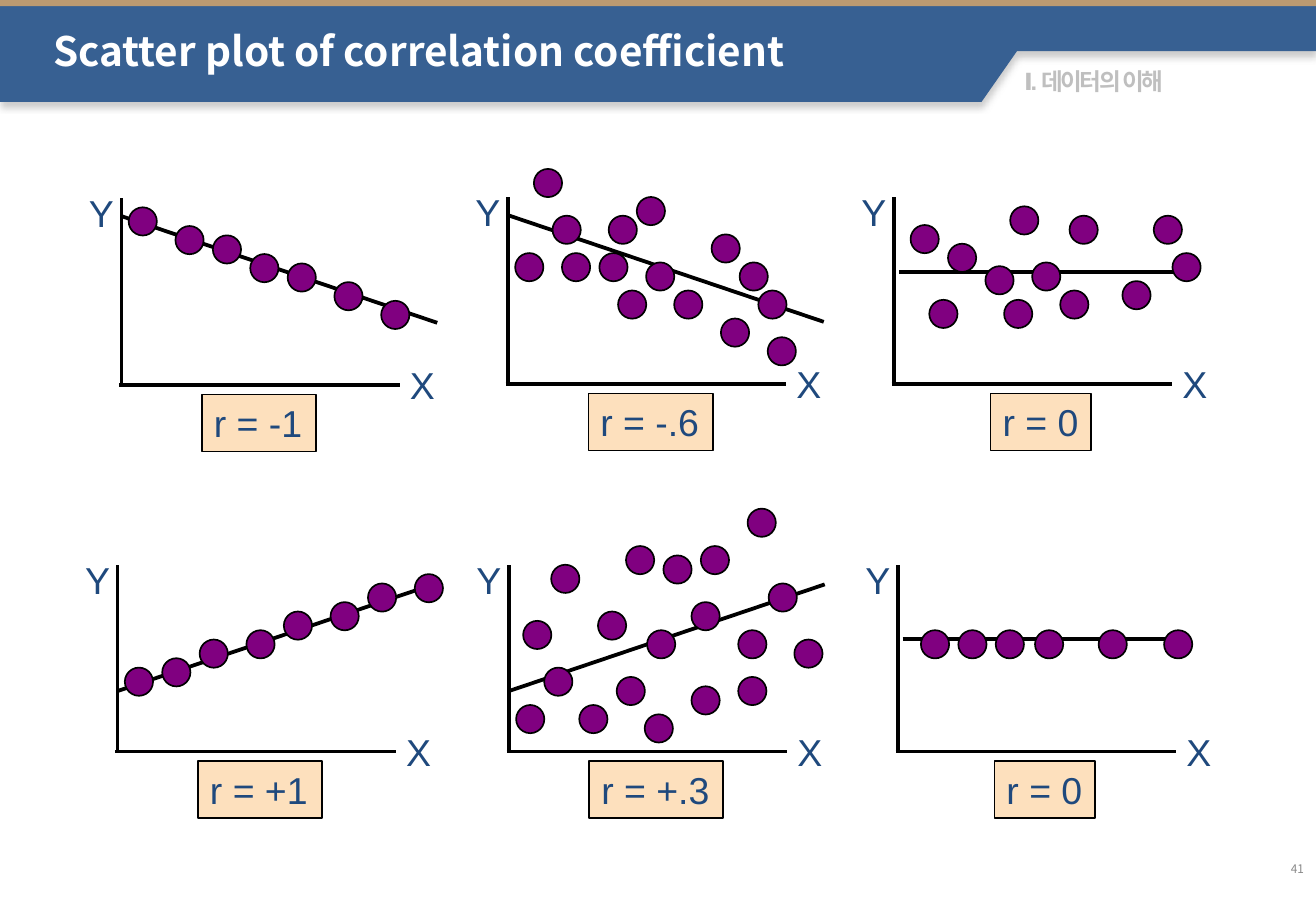
import lxml.etree
import pptx
import pptx.dml.color
import pptx.enum.shapes
import pptx.enum.text
import pptx.oxml.ns
import pptx.util

Cm = pptx.util.Cm
Pt = pptx.util.Pt
RGBColor = pptx.dml.color.RGBColor
SHAPE = pptx.enum.shapes.MSO_SHAPE
ALIGN = pptx.enum.text.PP_ALIGN
ANCHOR = pptx.enum.text.MSO_ANCHOR
qn = pptx.oxml.ns.qn

BLUE = RGBColor(0x37, 0x60, 0x92)
TAN = RGBColor(0xBB, 0x9A, 0x71)
NAVY = RGBColor(0x1F, 0x49, 0x7D)
PEACH = RGBColor(0xFD, 0xE0, 0xBD)
PURPLE = RGBColor(0x80, 0x00, 0x80)
BLACK = RGBColor(0x00, 0x00, 0x00)
WHITE = RGBColor(0xFF, 0xFF, 0xFF)
LIGHT_GRAY = RGBColor(0xBF, 0xBF, 0xBF)
GRAY = RGBColor(0x89, 0x89, 0x89)

SANS = "Noto Sans CJK KR"
WIDTH, HEIGHT = 27.51, 19.05
DOT = 0.59
STEP = 3.91 / 20
DOT_INSET = 0.15

FALLING = (0, 3.53, 6.6, 1.3)
RISING = (0, 1.27, 6.6, 3.5)
FLAT = (0.1, 2.35, 5.94, 2.35)

# Each panel: axis corner, trend, label, label offset, label width, dot steps
PANELS = [
    (2.54, 8.05, FALLING, "r = -1", 1.68, 2.39,
     [(0, 19), (5, 17), (9, 16), (13, 14), (17, 13), (22, 11), (27, 9)]),
    (10.62, 8.03, FALLING, "r = -.6", 1.68, 2.6,
     [(0, 14), (2, 23), (4, 18), (5, 14), (9, 14), (10, 18), (11, 10),
      (13, 20), (14, 13), (17, 10), (21, 16), (22, 7), (24, 13), (26, 10),
      (27, 5)]),
    (18.69, 8.03, FLAT, "r = 0", 2.02, 2.1,
     [(1, 17), (3, 9), (5, 15), (9, 12.6), (11, 9), (11.65, 19), (14, 13),
      (17, 10), (18, 18), (23.65, 11), (27, 18), (29, 14)]),
    (2.46, 15.72, RISING, "r = +1", 1.68, 2.6,
     [(0, 9), (4, 10), (8, 12), (13, 13), (17, 15), (22, 16), (26, 18),
      (31, 19)]),
    (10.64, 15.72, RISING, "r = +.3", 1.68, 2.79,
     [(0, 5), (0.75, 14), (3, 9), (3.75, 20), (6.75, 5), (8.75, 15),
      (10.75, 8), (11.75, 22), (13.75, 4), (14, 13), (15.75, 21),
      (18.75, 7), (18.75, 16), (19.75, 22), (23.75, 8), (23.75, 13),
      (24.75, 26), (27, 18), (29.75, 12)]),
    (18.77, 15.72, FLAT, "r = 0", 2.02, 2.1,
     [(x, 13) for x in (1.7, 5.7, 9.7, 13.9, 20.7, 27.7)]),
]


def write(s, text, size=22.2, font="Arial", color=NAVY, bold=False,
          align=ALIGN.LEFT, anchor=ANCHOR.TOP, wrap=False, leading=None,
          spacing=None):
    tf = s.text_frame
    tf.word_wrap = wrap
    tf.vertical_anchor = anchor
    p = tf.paragraphs[0]
    p.alignment = align
    if leading:
        p.line_spacing = leading
    r = p.add_run()
    r.text = text
    r.font.size = Pt(size)
    r.font.name = font
    r.font.bold = bold
    r.font.color.rgb = color
    rpr = r.font._element
    if spacing is not None:
        rpr.set("spc", str(int(spacing * 100)))
    lxml.etree.SubElement(rpr, qn("a:ea")).set("typeface", font)


def add_text(shapes, x, y, w, h, text, **style):
    write(shapes.add_textbox(Cm(x), Cm(y), Cm(w), Cm(h)), text, **style)


def paint(s, fill, line=None):
    s.shadow.inherit = False
    s.fill.solid()
    s.fill.fore_color.rgb = fill
    if line is None:
        s.line.fill.background()
    else:
        s.line.color.rgb = line
        s.line.width = Pt(1)


def add_box(shapes, kind, x, y, w, h, fill, line=None):
    s = shapes.add_shape(kind, Cm(x), Cm(y), Cm(w), Cm(h))
    paint(s, fill, line)
    return s


def add_line(shapes, x1, y1, x2, y2, width=2):
    s = shapes.add_connector(pptx.enum.shapes.MSO_CONNECTOR.STRAIGHT,
                             Cm(x1), Cm(y1), Cm(x2), Cm(y2))
    s.line.color.rgb = BLACK
    s.line.width = Pt(width)
    lxml.etree.SubElement(s._element.spPr, qn("a:effectLst"))


def add_band_shadow(s):
    effects = s._element.spPr.find(qn("a:effectLst"))
    shadow = lxml.etree.SubElement(effects, qn("a:outerShdw"), blurRad=str(Pt(4)),
                                   dist=str(Pt(3)), dir="5400000")
    color = lxml.etree.SubElement(shadow, qn("a:srgbClr"), val="808080")
    lxml.etree.SubElement(color, qn("a:alpha"), val="40000")


def add_header(shapes):
    outline = [(WIDTH, 0), (WIDTH, 1.07), (21.26, 1.07), (20.52, 2.13), (0, 2.13)]
    builder = shapes.build_freeform(0, 0)
    builder.add_line_segments([(Cm(x), Cm(y)) for x, y in outline], close=True)
    band = builder.convert_to_shape()
    paint(band, BLUE)
    add_band_shadow(band)
    add_box(shapes, SHAPE.RECTANGLE, 0, 0, WIDTH, 0.13, TAN)
    add_text(shapes, 21.16, 1.27, 6.4, 0.86, "Ⅰ. 데이터의 이해", size=14,
             color=LIGHT_GRAY, bold=True, wrap=True, spacing=-1.5)
    add_text(shapes, 0.86, 0.61, 21.1, 1.12,
             "Scatter plot of correlation coefficient", size=24, font=SANS,
             color=WHITE, bold=True, wrap=True, leading=0.8)


def add_panel(shapes, x, y, trend, label, label_offset, label_width, dots):
    x1, rise1, x2, rise2 = trend
    add_line(shapes, x, y - 3.9, x, y)
    add_line(shapes, x - 0.05, y, x + 5.82, y)
    add_line(shapes, x + x1, y - rise1, x + x2, y - rise2, width=2.25)
    for column, row in dots:
        add_box(shapes, SHAPE.OVAL, x + DOT_INSET + column * STEP,
                y - row * STEP, DOT, DOT, PURPLE, BLACK)
    add_text(shapes, x - 0.93, y - 4.2, 1.04, 1.19, "Y")
    add_text(shapes, x + 5.78, y - 0.6, 1.04, 1.19, "X")
    s = add_box(shapes, SHAPE.RECTANGLE, x + label_offset, y + 0.2,
                label_width, 1.19, PEACH, BLACK)
    write(s, label)


def main():
    prs = pptx.Presentation()
    prs.slide_width, prs.slide_height = Cm(WIDTH), Cm(HEIGHT)
    slide = prs.slides.add_slide(prs.slide_layouts[6])
    add_header(slide.shapes)
    for panel in PANELS:
        add_panel(slide.shapes.add_group_shape().shapes, *panel)
    add_text(slide.shapes, 25.12, 17.65, 2.39, 1.02, "41", size=7, font=SANS,
             color=GRAY, align=ALIGN.RIGHT, anchor=ANCHOR.MIDDLE, wrap=True)
    prs.save("out.pptx")


if __name__ == "__main__":
    main()
